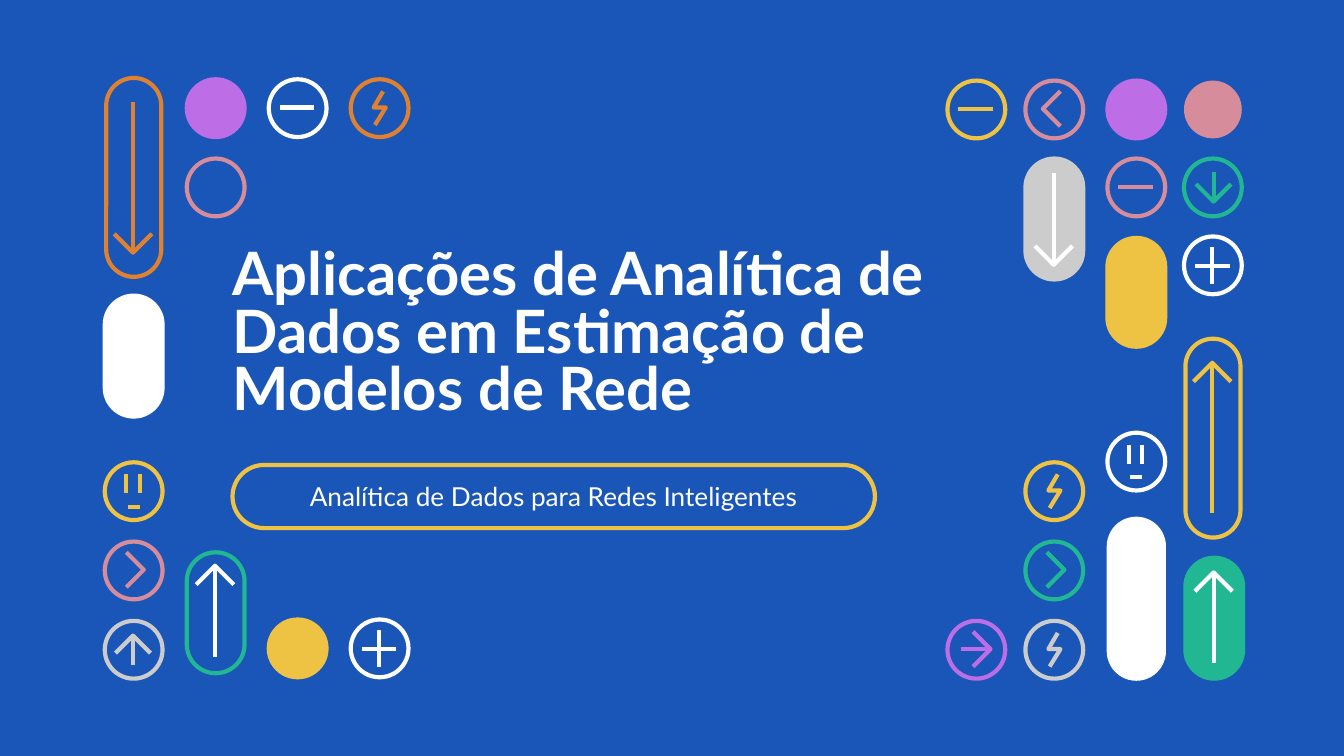
from pptx import Presentation
from pptx.dml.color import RGBColor
from pptx.enum.shapes import MSO_CONNECTOR, MSO_SHAPE
from pptx.enum.text import MSO_ANCHOR, MSO_AUTO_SIZE, PP_ALIGN
from pptx.oxml.ns import qn
from pptx.util import Pt
from lxml import etree

STRAIGHT = MSO_CONNECTOR.STRAIGHT
OVAL = MSO_SHAPE.OVAL
PILL = MSO_SHAPE.ROUNDED_RECTANGLE
MIDDLE = MSO_ANCHOR.MIDDLE
LEFT, CENTER = PP_ALIGN.LEFT, PP_ALIGN.CENTER

PX = 9144
SLIDE_WIDTH = 1000
FONT = "Lato"
COLORS = {
    "blue": "1A56B8", "orange": "E08130", "purple": "BD6DE6", "yellow": "EEC242",
    "pink": "D78C9B", "green": "21B793", "gray": "CCCCCC", "white": "FFFFFF",
}
TITLE = "Aplicações de Analítica de Dados em Estimação de Modelos de Rede"
SUBTITLE = "Analítica de Dados para Redes Inteligentes"
TITLE_BOX = (173, 169, 562, 162)
SUBTITLE_BOX = (173, 346, 478, 47)

BADGE_SIZE = 43
LINE_WIDTH = 2.25
ARROW_ARM = 14

GLYPHS = {
    "minus": [[(8, 21), (34, 21)]],
    "plus": [[(21, 8), (21, 35)], [(8, 22), (34, 22)]],
    "face": [[(16, 9), (16, 23)], [(26, 9), (26, 23)], [(17, 33), (26, 33)]],
    "bolt": [[(24, 9), (17, 21), (26, 21), (18, 34)]],
    "chevron right": [[(16, 34), (29, 21), (16, 8)]],
    "chevron left": [[(26, 8), (13, 21), (26, 34)]],
    "arrow right": [[(19, 34), (32, 21), (19, 8)], [(32, 21), (10, 21)]],
    "arrow down": [[(9, 19), (22, 32), (35, 19)], [(22, 32), (22, 10)]],
    "arrow up": [[(8, 24), (21, 11), (34, 24)], [(21, 11), (21, 33)]],
}

OUTLINED_BADGES = [
    (200, 59, "white", "minus"), (261, 59, "orange", "bolt"),
    (139, 118, "pink", None), (78, 344, "yellow", "face"),
    (78, 403, "pink", "chevron right"), (78, 462, "gray", "arrow up"),
    (261, 461, "white", "plus"), (705, 60, "yellow", "minus"),
    (763, 60, "pink", "chevron left"), (824, 118, "pink", "minus"),
    (881, 118, "green", "arrow down"), (881, 176, "white", "plus"),
    (824, 322, "white", "face"), (763, 344, "yellow", "bolt"),
    (763, 403, "green", "chevron right"), (705, 462, "purple", "arrow right"),
    (763, 462, "gray", "bolt"),
]
FILLED_BADGES = [
    (139, 59, "purple", "purple"), (200, 461, "yellow", "yellow"),
    (824, 60, "purple", "purple"), (881, 60, "pink", None),
]
PILLS = [
    ((79, 58, 41, 148), "orange", None, ("orange", 76, 188)),
    ((78, 220, 43, 90), "white", "white", None),
    ((139, 411, 43, 90), "green", None, ("white", 489, 421)),
    ((763, 118, 43, 90), "gray", "gray", ("white", 129, 197)),
    ((824, 177, 43, 81), "yellow", "yellow", None),
    ((882, 252, 41, 148), "yellow", None, ("yellow", 382, 270)),
    ((825, 386, 41, 119), "white", "white", None),
    ((882, 415, 43, 90), "green", "green", ("white", 493, 426)),
]


def color(name):
    return RGBColor.from_string(COLORS[name])


def scaled(values):
    return [value * PX for value in values]


def set_line(line, name):
    line.color.rgb = color(name)
    line.width = Pt(LINE_WIDTH)


def add_outline(shapes, kind, box, outline, fill=None):
    shape = shapes.add_shape(kind, *scaled(box))
    shape.shadow.inherit = False
    if kind == PILL:
        shape.adjustments[0] = 0.5
    if fill:
        shape.fill.solid()
        shape.fill.fore_color.rgb = color(fill)
    else:
        shape.fill.background()
    if outline:
        set_line(shape.line, outline)
    else:
        shape.line.fill.background()
    return shape


def add_stroke(shapes, points, name):
    if len(points) == 2:
        start, end = points
        stroke = shapes.add_connector(STRAIGHT, *scaled(start + end))
        etree.SubElement(stroke.element.spPr, qn("a:effectLst"))
    else:
        builder = shapes.build_freeform(*points[0], scale=PX)
        builder.add_line_segments(points[1:], close=False)
        stroke = builder.convert_to_shape()
        stroke.fill.background()
        stroke.shadow.inherit = False
    set_line(stroke.line, name)


def add_icon(slide, kind, box, outline, fill, strokes, stroke_color):
    shapes = slide.shapes.add_group_shape().shapes if strokes else slide.shapes
    add_outline(shapes, kind, box, outline, fill)
    for points in strokes:
        add_stroke(shapes, points, stroke_color)


def arrow_strokes(x, tail, head):
    arm_y = head + (ARROW_ARM if tail > head else -ARROW_ARM)
    return [[(x - ARROW_ARM, arm_y), (x, head), (x + ARROW_ARM, arm_y)],
            [(x, head), (x, tail)]]


def write(shape, text, size, bold, alignment, inset):
    frame = shape.text_frame
    frame.word_wrap = True
    frame.auto_size = MSO_AUTO_SIZE.NONE
    frame.vertical_anchor = MIDDLE
    frame.margin_left = frame.margin_right = inset * PX
    frame.margin_top = frame.margin_bottom = inset * PX
    frame.text = text
    paragraph = frame.paragraphs[0]
    paragraph.alignment = alignment
    paragraph.font.name = FONT
    paragraph.font.size = Pt(size)
    paragraph.font.bold = bold
    paragraph.font.color.rgb = color("white")
    return paragraph


def main():
    presentation = Presentation()
    presentation.slide_width = SLIDE_WIDTH * PX
    presentation.slide_height = SLIDE_WIDTH * PX * 9 // 16
    slide = presentation.slides.add_slide(presentation.slide_layouts[5])
    slide.background.fill.solid()
    slide.background.fill.fore_color.rgb = color("blue")

    title = slide.shapes.title
    title.left, title.top, title.width, title.height = scaled(TITLE_BOX)
    write(title, TITLE, 32, True, LEFT, 0).line_spacing = 0.8
    subtitle = add_outline(slide.shapes, PILL, SUBTITLE_BOX, "yellow")
    write(subtitle, SUBTITLE, 14, False, CENTER, 10)

    for left, top, name, glyph in OUTLINED_BADGES:
        strokes = [[(left + x, top + y) for x, y in points]
                   for points in GLYPHS.get(glyph, [])]
        box = (left, top, BADGE_SIZE, BADGE_SIZE)
        add_icon(slide, OVAL, box, name, None, strokes, name)
    for left, top, fill, outline in FILLED_BADGES:
        box = (left, top, BADGE_SIZE, BADGE_SIZE)
        add_outline(slide.shapes, OVAL, box, outline, fill)
    for box, outline, fill, arrow in PILLS:
        strokes, arrow_color = [], None
        if arrow:
            arrow_color, tail, head = arrow
            strokes = arrow_strokes(box[0] + box[2] // 2, tail, head)
        add_icon(slide, PILL, box, outline, fill, strokes, arrow_color)

    presentation.save("out.pptx")


if __name__ == "__main__":
    main()
